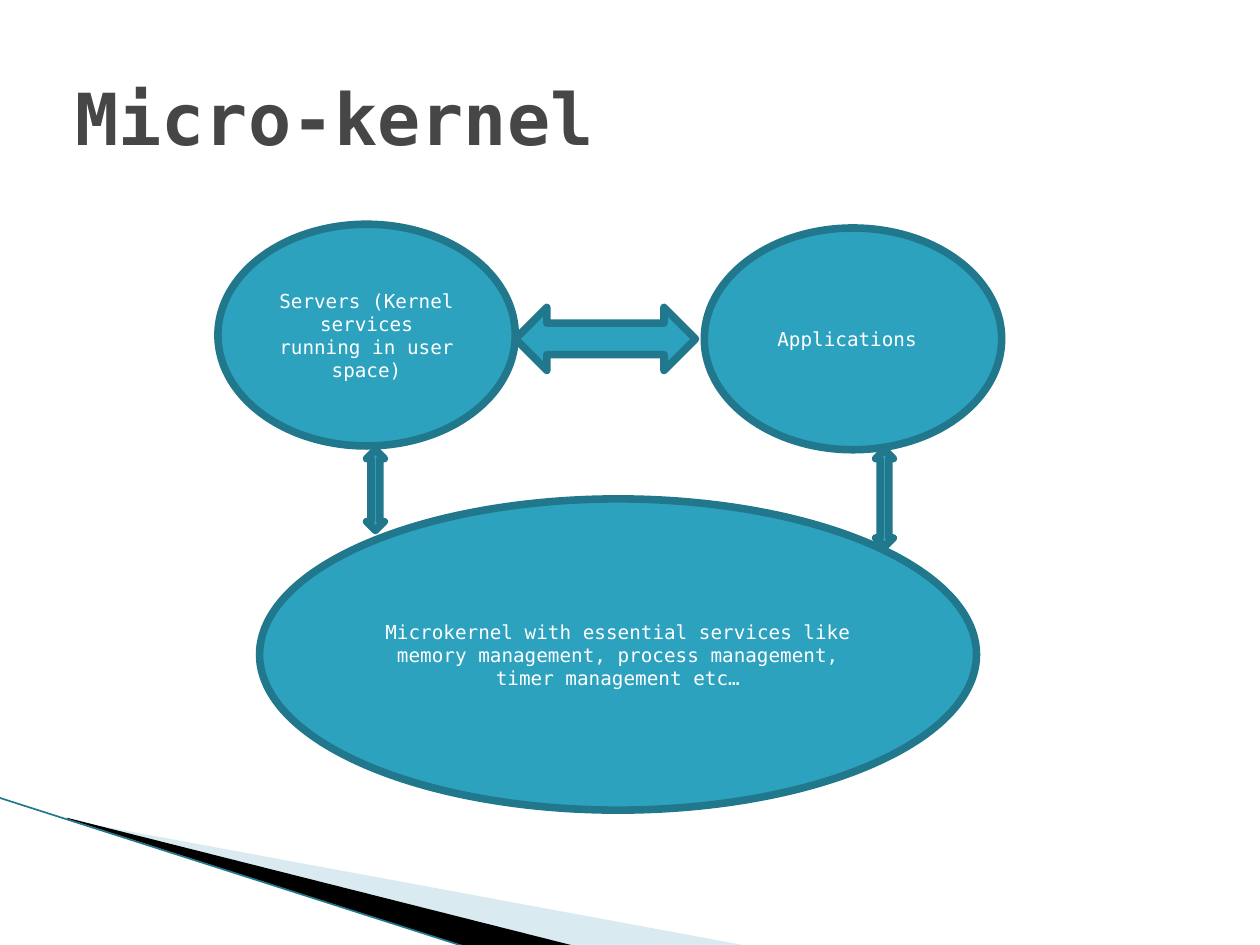
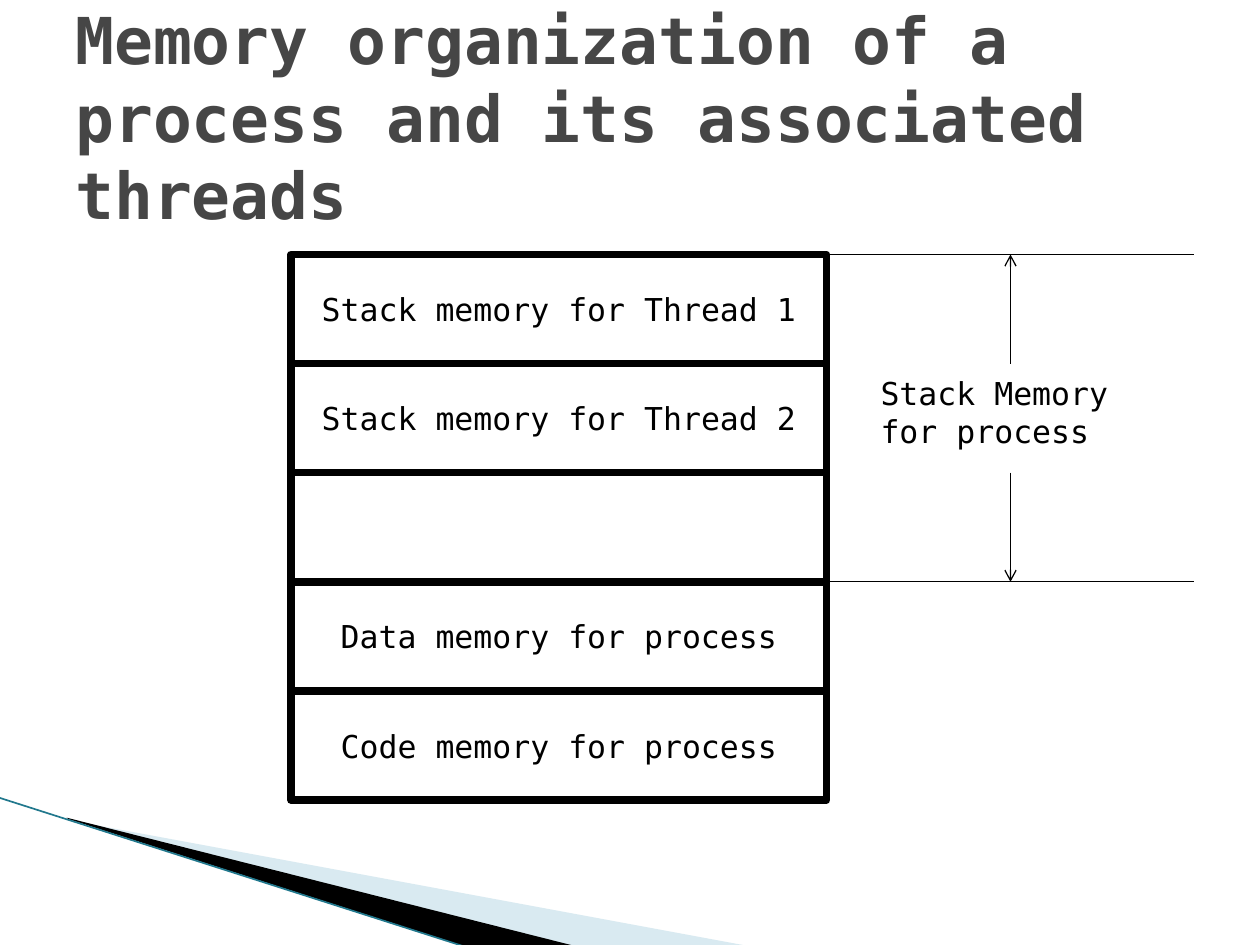
import pptx
import pptx.util
import pptx.dml.color
import pptx.enum.shapes
import pptx.enum.text
import pptx.oxml
import pptx.oxml.ns
from lxml import etree

RGB = pptx.dml.color.RGBColor
KIND = pptx.enum.shapes.MSO_SHAPE
ALIGN = pptx.enum.text.PP_ALIGN
ANCHOR = pptx.enum.text.MSO_ANCHOR
inch = pptx.util.Inches

WIDE, HIGH = 10, 7.5
FONT = "DejaVu Sans Mono"
TEAL = RGB(0x2D, 0xA2, 0xBF)
DEEP = RGB(0x21, 0x78, 0x8D)
PALE = RGB(0xA0, 0xCB, 0xDC)
GREY = RGB(0x46, 0x46, 0x46)
BLACK = RGB(0, 0, 0)
WHITE = RGB(255, 255, 255)
THICK, THIN = 4.33, 0.75

# Swoosh at the foot of each slide: points, colour, opacity in percent
SWOOSH = [
    ([(0.55, 6.51), (5.95, 7.51), (4.56, 7.51), (0.55, 6.5)], PALE, 40),
    ([(0.53, 6.49), (4.57, 7.51), (3.72, 7.52), (0.54, 6.5)], BLACK, 100),
]
EDGE = (-0.01, 6.33), (3.71, 7.52)

# Kernel diagram: kind, left, top, width, height, text
KERNEL = [
    (KIND.OVAL, 1.73, 1.78, 2.36, 1.76,
     "Servers (Kernel services running in user space)"),
    (KIND.OVAL, 5.59, 1.81, 2.36, 1.76, "Applications "),
    (KIND.LEFT_RIGHT_ARROW, 4.09, 2.44, 1.43, 0.5, ""),
    (KIND.UP_DOWN_ARROW, 6.95, 3.57, 0.14, 0.77, ""),
    (KIND.UP_DOWN_ARROW, 2.91, 3.57, 0.14, 0.64, ""),
    (KIND.OVAL, 2.06, 3.96, 5.69, 2.47,
     "Microkernel with essential services like memory management, "
     "process management, timer management etc…"),
]

# Memory map, top cell first; the first STACK cells form the stack
CELLS = [
    "Stack memory for Thread 1",
    "Stack memory for Thread 2",
    "",
    "Data memory for process",
    "Code memory for process",
]
STACK = 3
LEFT, TOP, CELL_W, CELL_H = 2.31, 2.02, 4.25, 0.866
RULE_W = 2.92
LABEL = "Stack Memory for process"


def write(shape, text, size, color, align=ALIGN.LEFT, bold=False,
          anchor=ANCHOR.MIDDLE):
    frame = shape.text_frame
    frame.word_wrap = True
    frame.vertical_anchor = anchor
    para = frame.paragraphs[0]
    para.alignment = align
    run = para.add_run()
    run.text = text
    font = run.font
    font.name, font.size, font.bold = FONT, pptx.util.Pt(size), bold
    font.color.rgb = color


def add_text(slide, box, text, size, color, **style):
    shape = slide.shapes.add_textbox(*map(inch, box))
    write(shape, text, size, color, **style)


def add_block(slide, kind, box, fill, edge, text, size, color):
    """Add a thick-edged shape with round corners and centred text."""
    shape = slide.shapes.add_shape(kind, *map(inch, box))
    shape.shadow.inherit = False
    if fill is None:
        shape.fill.background()
    else:
        shape.fill.solid()
        shape.fill.fore_color.rgb = fill
    shape.line.color.rgb = edge
    shape.line.width = pptx.util.Pt(THICK)
    etree.SubElement(shape.line._get_or_add_ln(), pptx.oxml.ns.qn("a:round"))
    if text:
        write(shape, text, size, color, ALIGN.CENTER)


def add_line(slide, start, end, color, width, arrow=False):
    line = slide.shapes.add_connector(
        pptx.enum.shapes.MSO_CONNECTOR.STRAIGHT, *map(inch, start + end))
    line.line.color.rgb = color
    line.line.width = pptx.util.Pt(width)
    if arrow:
        etree.SubElement(line.line._get_or_add_ln(),
                         pptx.oxml.ns.qn("a:tailEnd"), type="arrow")
    etree.SubElement(line._element.spPr, pptx.oxml.ns.qn("a:effectLst"))


def add_wedge(slide, points, color, alpha):
    first, *rest = [tuple(map(inch, point)) for point in points]
    pen = slide.shapes.build_freeform(*first)
    pen.add_line_segments(rest, close=True)
    shape = pen.convert_to_shape()
    shape.shadow.inherit = False
    shape.fill.solid()
    shape.fill.fore_color.rgb = color
    shape.line.fill.background()
    if alpha < 100:
        tint = shape._element.spPr.find(".//" + pptx.oxml.ns.qn("a:srgbClr"))
        etree.SubElement(tint, pptx.oxml.ns.qn("a:alpha"),
                         val=str(alpha * 1000))


def add_page(deck, title, size):
    """Add a blank slide with the shared swoosh and title."""
    slide = deck.slides.add_slide(deck.slide_layouts[6])
    for wedge in SWOOSH:
        add_wedge(slide, *wedge)
    add_line(slide, *EDGE, DEEP, 0.95)
    add_text(slide, (0.5, 0.3, WIDE - 1, 1.25), title, size, GREY, bold=True)
    return slide


def draw_kernel(deck):
    slide = add_page(deck, "Micro-kernel", 41)
    for kind, *box, text in KERNEL:
        add_block(slide, kind, box, TEAL, DEEP, text, 11, WHITE)


def draw_memory(deck):
    slide = add_page(
        deck, "Memory organization of a process and its associated threads",
        36.9)
    for row, text in enumerate(CELLS):
        box = LEFT, TOP + row * CELL_H, CELL_W, CELL_H
        add_block(slide, KIND.RECTANGLE, box, None, BLACK, text, 18, BLACK)

    right = LEFT + CELL_W
    mid = right + RULE_W / 2
    base = TOP + STACK * CELL_H
    for y in (TOP, base):
        add_line(slide, (right, y), (right + RULE_W, y), BLACK, THIN)
    for start, end in ((TOP + CELL_H, TOP), (base - CELL_H, base)):
        add_line(slide, (mid, start), (mid, end), BLACK, THIN, arrow=True)
    add_text(slide, (6.89, 2.92, 2.6, 0.71), LABEL, 18, BLACK,
             anchor=ANCHOR.TOP)


def main():
    deck = pptx.Presentation()
    deck.slide_width, deck.slide_height = inch(WIDE), inch(HIGH)
    draw_kernel(deck)
    draw_memory(deck)
    deck.save("out.pptx")


if __name__ == "__main__":
    main()
